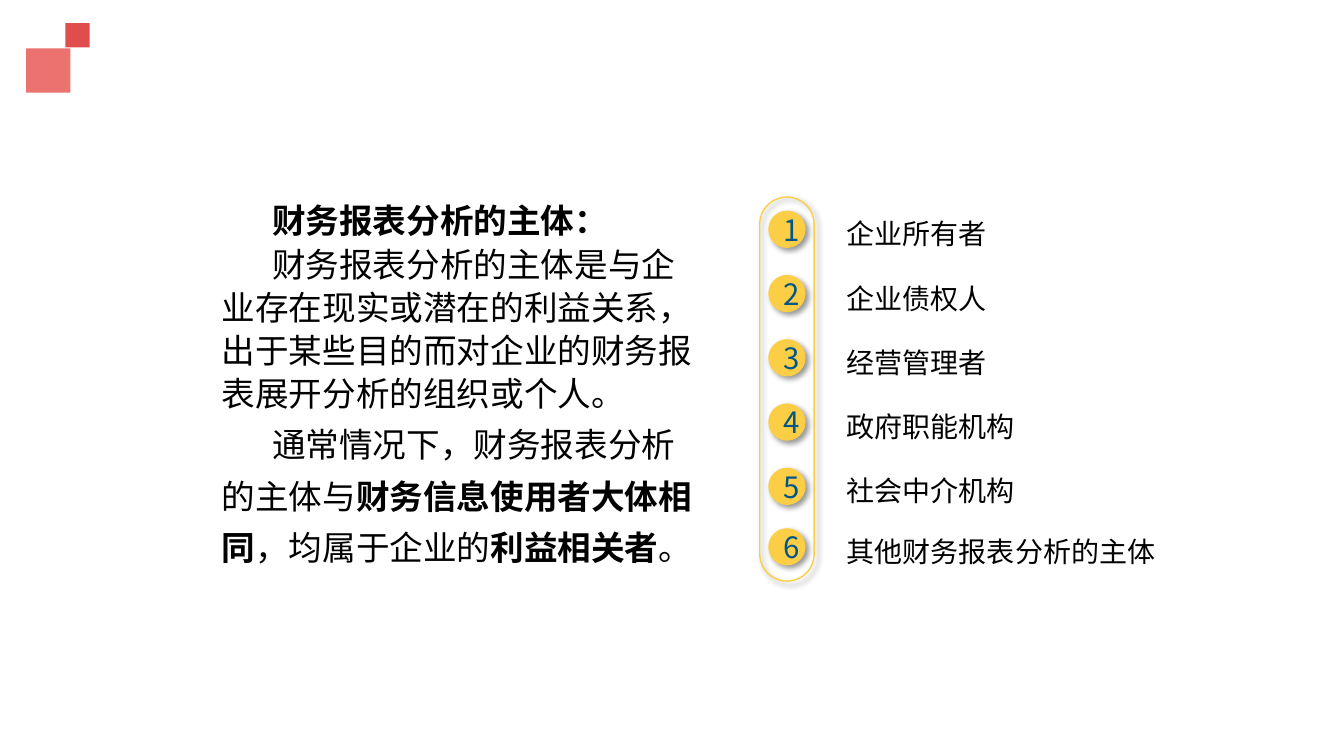
from pptx import Presentation
from pptx.dml.color import RGBColor
from pptx.enum.shapes import MSO_SHAPE
from pptx.enum.text import MSO_ANCHOR, MSO_AUTO_SIZE, PP_ALIGN
from pptx.oxml import parse_xml
from pptx.oxml.ns import nsdecls, qn
from pptx.util import Inches, Pt

RECT, OVAL, PILL = MSO_SHAPE.RECTANGLE, MSO_SHAPE.OVAL, MSO_SHAPE.ROUNDED_RECTANGLE
LEFT, CENTER = PP_ALIGN.LEFT, PP_ALIGN.CENTER
MIDDLE = MSO_ANCHOR.MIDDLE
GROW = MSO_AUTO_SIZE.SHAPE_TO_FIT_TEXT

FONT = "Noto Sans CJK SC"
BLACK = RGBColor(0x00, 0x00, 0x00)
BLUE = RGBColor(0x00, 0x56, 0x88)
YELLOW = RGBColor(0xFB, 0xCE, 0x45)
PINK = RGBColor(0xEB, 0x72, 0x6F)
RED = RGBColor(0xDF, 0x4D, 0x4D)

DEFINITION = [
    (30.8, [("财务报表分析的主体：", True)]),
    (30.8, [("财务报表分析的主体是与企业存在现实或潜在的利益关系，"
             "出于某些目的而对企业的财务报表展开分析的组织或个人。", False)]),
    (36.8, [("通常情况下，财务报表分析的主体与", False),
            ("财务信息使用者大体相同", True),
            ("，均属于企业的", False),
            ("利益相关者", True),
            ("。", False)]),
]
SUBJECTS = ["企业所有者", "企业债权人", "经营管理者",
            "政府职能机构", "社会中介机构", "其他财务报表分析的主体"]
FIRST_TOP, STEP, LAST_TOP = 2.09, 0.6375, 5.24


def add_text(p, runs, size=20, color=BLACK, align=LEFT, spacing=None, indent=0):
    """Fill a paragraph with (text, bold) runs."""
    p.alignment = align
    if spacing:
        p.line_spacing = spacing
    if indent:
        pPr = p._p.get_or_add_pPr()
        pPr.set("marL", "0")
        pPr.set("indent", str(Inches(indent)))
    for text, bold in runs:
        r = p.add_run()
        r.text = text
        r.font.size = Pt(size)
        r.font.bold = bold
        r.font.name = FONT
        r.font.color.rgb = color
        ea = r._r.get_or_add_rPr().makeelement(qn("a:ea"), {"typeface": FONT})
        r.font._element.find(qn("a:latin")).addnext(ea)


def add_shape(s, kind, left, top, width, height, fill=None, line=None):
    """Add a preset shape without a shadow."""
    sp = s.shapes.add_shape(kind, Inches(left), Inches(top), Inches(width), Inches(height))
    sp.shadow.inherit = False
    if fill is None:
        sp.fill.background()
    else:
        sp.fill.solid()
        sp.fill.fore_color.rgb = fill
    if line is None:
        sp.line.fill.background()
    else:
        sp.line.color.rgb = line
        sp.line.width = Pt(1)
    return sp


def add_shadow(sp):
    """Give a shape a soft shadow to the lower right."""
    effects = sp._element.spPr.find(qn("a:effectLst"))
    effects.append(parse_xml(
        f'<a:outerShdw {nsdecls("a")} blurRad="{Pt(4)}" dist="{Pt(3)}" dir="2700000" '
        'algn="tl" rotWithShape="0"><a:srgbClr val="000000"><a:alpha val="40000"/>'
        '</a:srgbClr></a:outerShdw>'))


def add_box(s, left, top, width, height):
    """Add a wrapping text box and return its text frame."""
    tf = s.shapes.add_textbox(Inches(left), Inches(top), Inches(width), Inches(height)).text_frame
    tf.word_wrap = True
    tf.auto_size = GROW
    return tf


def add_definition(s):
    """Add the definition paragraphs on the left."""
    tf = add_box(s, 2.1, 1.91, 4.95, 3.83)
    for i, (spacing, runs) in enumerate(DEFINITION):
        p = tf.add_paragraph() if i else tf.paragraphs[0]
        add_text(p, runs, size=24, spacing=Pt(spacing), indent=0.5)


def add_subject(s, number, label, top):
    """Add a numbered disc and its label."""
    disc = add_shape(s, OVAL, 7.62, top, 0.37, 0.37, fill=YELLOW)
    add_shadow(disc)
    tf = disc.text_frame
    tf.word_wrap = True
    tf.vertical_anchor = MIDDLE
    add_text(tf.paragraphs[0], [(str(number), False)], size=21, color=BLUE, align=CENTER)
    tf = add_box(s, 8.3, top + 0.05, 3.36, 0.4)
    add_text(tf.paragraphs[0], [(label, False)], spacing=0.9)


def main():
    """Build and save the slide."""
    prs = Presentation()
    prs.slide_width, prs.slide_height = Inches(13.33), Inches(7.5)
    s = prs.slides.add_slide(prs.slide_layouts[6])
    add_shape(s, RECT, 0.26, 0.48, 0.44, 0.44, fill=PINK)
    add_shape(s, RECT, 0.65, 0.23, 0.24, 0.24, fill=RED)
    add_definition(s)
    track = add_shape(s, PILL, 5.9, 3.59, 3.81, 0.54, line=YELLOW)
    track.adjustments[0] = 0.5
    track.rotation = 90
    add_shadow(track)
    for i, label in enumerate(SUBJECTS):
        add_subject(s, i + 1, label, min(FIRST_TOP + STEP * i, LAST_TOP))
    prs.save("out.pptx")


if __name__ == "__main__":
    main()
